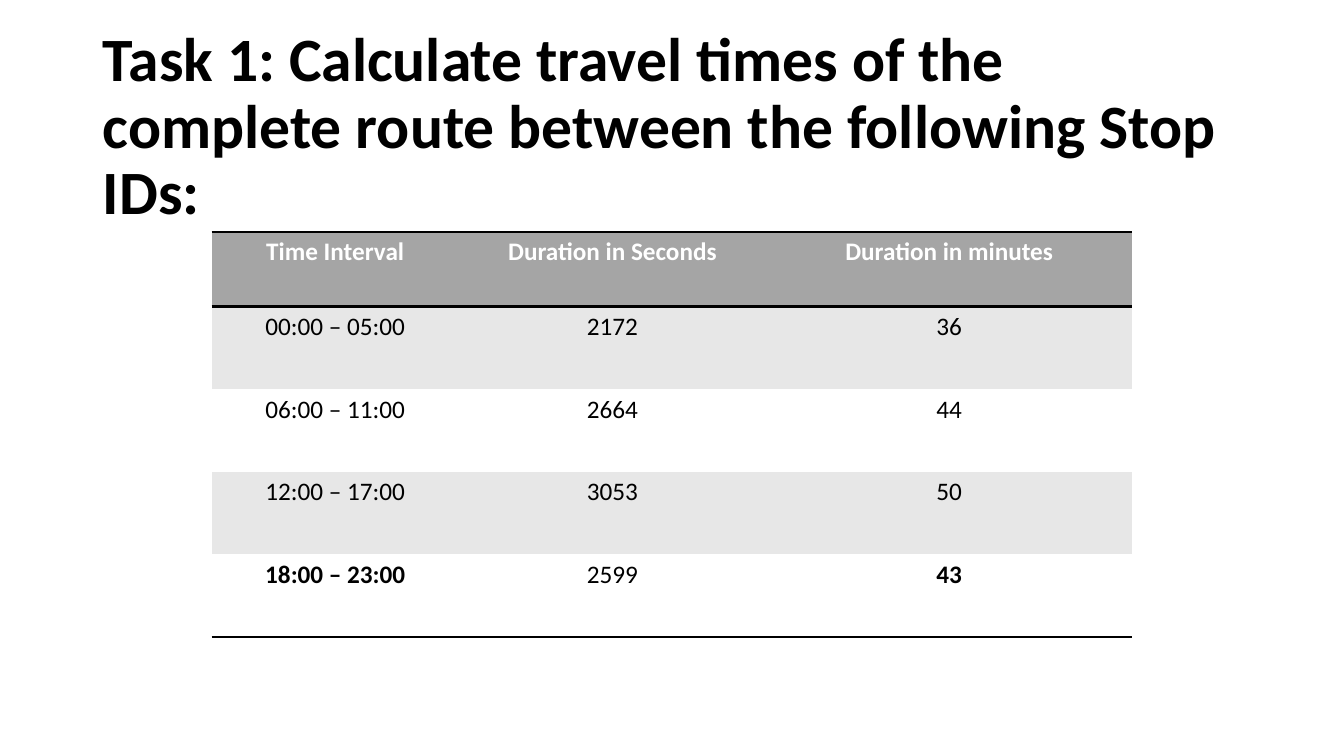
from lxml.etree import SubElement
from pptx import Presentation
from pptx.dml.color import RGBColor
from pptx.enum.text import MSO_ANCHOR, MSO_AUTO_SIZE, PP_ALIGN
from pptx.oxml.ns import qn
from pptx.util import Inches, Pt

WIDE, HIGH = 13.33, 7.5
FONT = "Calibri"
BLACK, WHITE, GREY, PALE = "000000", "FFFFFF", "A5A5A5", "E7E7E7"
PLAIN = "{2D5ABB26-0587-4C30-8999-92F81FD0307C}"
TITLE = "Task 1: Calculate travel times of the complete route between the following Stop IDs:"
COLS = [2.45, 3.05, 3.63]
ROWS = [0.74] + [0.82] * 4
TIMES = [
    ("Time Interval", "Duration in Seconds", "Duration in minutes"),
    ("00:00 – 05:00", "2172", "36"),
    ("06:00 – 11:00", "2664", "44"),
    ("12:00 – 17:00", "3053", "50"),
    ("18:00 – 23:00", "2599", "43"),
]
LAST = len(TIMES) - 1


def paint(item, tone):
    item.fill.solid()
    item.fill.fore_color.rgb = RGBColor.from_string(tone)


def write(para, text, size, tone, bold):
    run = para.add_run()
    run.text = text
    font = run.font
    font.name, font.size, font.bold = FONT, Pt(size), bold
    paint(font, tone)


def rule(cell, side):
    line = SubElement(cell._tc.get_or_add_tcPr(), qn("a:" + side), w=str(Pt(2)))
    fill = SubElement(line, qn("a:solidFill"))
    SubElement(fill, qn("a:srgbClr"), val=BLACK)


def add_title(slide, box):
    title = slide.shapes.title
    title.left, title.top, title.width, title.height = map(Inches, box)
    frame = title.text_frame
    frame.word_wrap = True
    frame.auto_size = MSO_AUTO_SIZE.NONE
    frame.vertical_anchor = MSO_ANCHOR.MIDDLE
    para = frame.paragraphs[0]
    para.alignment = PP_ALIGN.LEFT
    para.line_spacing = 0.9
    write(para, TITLE, 44, BLACK, True)


def fill_cell(cell, text, row, col):
    head = row == 0
    if head:
        rule(cell, "lnT")
    if row in (0, LAST):
        rule(cell, "lnB")
    paint(cell, GREY if head else PALE if row % 2 else WHITE)
    para = cell.text_frame.paragraphs[0]
    para.alignment = PP_ALIGN.CENTER
    bold = head or (row == LAST and col != 1)
    write(para, text, 18, WHITE if head else BLACK, bold)


def add_times(slide, box):
    frame = slide.shapes.add_table(len(ROWS), len(COLS), *map(Inches, box))
    table = frame.table
    table._tbl.tblPr.find(qn("a:tableStyleId")).text = PLAIN
    for col, width in zip(table.columns, COLS):
        col.width = Inches(width)
    for row, height in zip(table.rows, ROWS):
        row.height = Inches(height)
    for i, texts in enumerate(TIMES):
        for j, text in enumerate(texts):
            fill_cell(table.cell(i, j), text, i, j)


def main():
    deck = Presentation()
    deck.slide_width, deck.slide_height = Inches(WIDE), Inches(HIGH)
    slide = deck.slides.add_slide(deck.slide_layouts[5])
    paint(slide.background, WHITE)
    add_title(slide, (0.92, 0.55, 11.5, 1.45))
    add_times(slide, (2.1, 2.3, sum(COLS), sum(ROWS)))
    deck.save("out.pptx")


if __name__ == "__main__":
    main()
